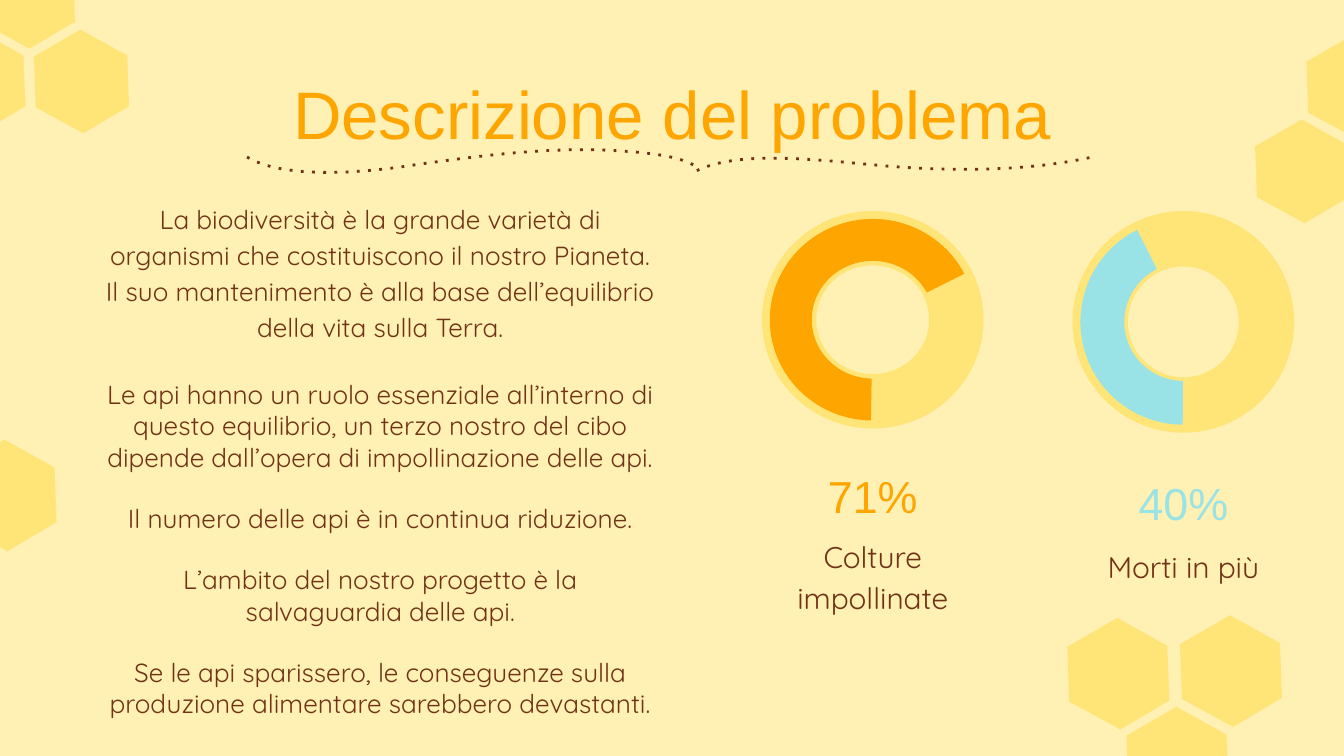
import pptx
import pptx.dml.color
import pptx.enum.dml
import pptx.enum.shapes
import pptx.enum.text
import pptx.oxml.ns
import pptx.oxml.xmlchemy
import pptx.util

Cm = pptx.util.Cm
Pt = pptx.util.Pt
SHAPES = pptx.enum.shapes.MSO_SHAPE

COLORS = {
    "background": "FFF0B3",
    "honey": "FFDB45",
    "orange": "FFA500",
    "brown": "703316",
    "sky": "99E2E6",
}
HONEY_OPACITY = 53

TITLE = "Descrizione del problema"

# text, space before in points, line spacing
BODY = [
    ("La biodiversità è la grande varietà di organismi che costituiscono il "
     "nostro Pianeta. Il suo mantenimento è alla base dell’equilibrio della "
     "vita sulla Terra.", 0, 1.15),
    ("Le api hanno un ruolo essenziale all’interno di questo equilibrio, un "
     "terzo nostro del cibo dipende dall’opera di impollinazione delle api.", 19, 1),
    ("Il numero delle api è in continua riduzione.", 16, 1),
    ("L’ambito del nostro progetto è la salvaguardia delle api.", 16, 1),
    ("Se le api sparissero, le conseguenze sulla produzione alimentare "
     "sarebbero devastanti.", 16, 1),
]

# Lengths in cm, arc angles in degrees
STATISTICS = [
    {"percent": "71%", "label": "Colture impollinate", "color": "orange",
     "left": 14.4, "height": 4.11, "arc": (91.03, 333.35), "thickness": 0.208,
     "percent_top": 8.38, "label_top": 9.83, "label_height": 1.93},
    {"percent": "40%", "label": "Morti in più", "color": "sky",
     "left": 20.27, "height": 4.19, "arc": (90.35, 243.34), "thickness": 0.213,
     "percent_top": 8.51, "label_top": 10.03, "label_height": 1.17},
]
RING_TOP, RING_WIDTH, RING_MARGIN = 3.99, 4.19, 0.15
CAPTION_WIDTH = 3.5

HEXAGON = [(0.49, 0), (0, 0.26), (0.02, 0.75), (0.52, 1), (1, 0.74), (0.98, 0.25)]
SMALL_CELL, LARGE_CELL = (1.8, 1.96), (1.93, 2.11)
HONEYCOMB = [
    (SMALL_CELL, [(23.72, 2.26), (24.69, 0.66), (0.64, 0.56), (-1.32, 0.56),
                  (-0.38, -1.04)]),
    (LARGE_CELL, [(21.29, 13.36), (22.3, 11.63), (-0.86, 8.31), (20.17, 11.68)]),
]

# Start point, then two control points and an end point for each curve
FLIGHT_START = (4.67, 2.97)
FLIGHT_CURVES = [
    ((5.33, 3.38), (6.83, 3.28), (7.82, 3.12)),
    ((9.02, 2.95), (10.26, 2.79), (11.48, 2.84)),
    ((12.07, 2.87), (12.75, 2.92), (13.11, 3.12)),
    ((13.13, 3.15), (13.11, 3.25), (13.16, 3.23)),
    ((13.94, 2.84), (15.42, 3.02), (16.54, 3.12)),
    ((17.91, 3.25), (19.46, 3.25), (20.73, 2.95)),
]
CURVE_STEPS = 16


def rgb(name):
    return pptx.dml.color.RGBColor.from_string(COLORS[name])


def paint(shape, color, opacity=100):
    shape.shadow.inherit = False
    shape.line.fill.background()
    shape.fill.solid()
    shape.fill.fore_color.rgb = rgb(color)
    if opacity < 100:
        tint = shape._element.spPr.find(".//" + pptx.oxml.ns.qn("a:srgbClr"))
        alpha = pptx.oxml.xmlchemy.OxmlElement("a:alpha")
        alpha.set("val", str(opacity * 1000))
        tint.append(alpha)


def outline(slide, points, close):
    (x, y), *rest = [(Cm(px), Cm(py)) for px, py in points]
    builder = slide.shapes.build_freeform(x, y)
    builder.add_line_segments(rest, close=close)
    return builder.convert_to_shape()


def add_honeycomb(slide):
    for (width, height), corners in HONEYCOMB:
        for left, top in corners:
            points = [(left + fx * width, top + fy * height) for fx, fy in HEXAGON]
            paint(outline(slide, points, True), "honey", HONEY_OPACITY)


def bezier(p0, p1, p2, p3, t):
    u = 1 - t
    return tuple(u**3 * a + 3 * u * u * t * b + 3 * u * t * t * c + t**3 * d
                 for a, b, c, d in zip(p0, p1, p2, p3))


def add_flight_trail(slide):
    points = [FLIGHT_START]
    for curve in FLIGHT_CURVES:
        start = points[-1]
        points += [bezier(start, *curve, step / CURVE_STEPS)
                   for step in range(1, CURVE_STEPS + 1)]
    trail = outline(slide, points, False)
    trail.shadow.inherit = False
    trail.fill.background()
    trail.line.color.rgb = rgb("brown")
    trail.line.width = Pt(1.5)
    trail.line.dash_style = pptx.enum.dml.MSO_LINE.ROUND_DOT
    dash = trail._element.spPr.find(".//" + pptx.oxml.ns.qn("a:prstDash"))
    dash.set("val", "dot")


def add_text(slide, box, paragraphs, font, size, color, top_inset=0.25):
    frame = slide.shapes.add_textbox(*map(Cm, box)).text_frame
    frame.word_wrap = True
    frame.vertical_anchor = pptx.enum.text.MSO_ANCHOR.TOP
    frame.margin_left = frame.margin_right = frame.margin_bottom = Cm(0.25)
    frame.margin_top = Cm(top_inset)
    for index, (text, before, spacing) in enumerate(paragraphs):
        paragraph = frame.add_paragraph() if index else frame.paragraphs[0]
        paragraph.alignment = pptx.enum.text.PP_ALIGN.CENTER
        paragraph.line_spacing = spacing
        if before:
            paragraph.space_before = Pt(before)
        run = paragraph.add_run()
        run.text = text
        run.font.name = font
        run.font.size = Pt(size)
        run.font.color.rgb = rgb(color)


def add_statistic(slide, stat):
    left, height = stat["left"], stat["height"]
    ring = slide.shapes.add_shape(
        SHAPES.DONUT, Cm(left), Cm(RING_TOP), Cm(RING_WIDTH), Cm(height))
    ring.adjustments[0] = 0.25
    paint(ring, "honey", HONEY_OPACITY)

    share = slide.shapes.add_shape(
        SHAPES.BLOCK_ARC, Cm(left + RING_MARGIN), Cm(RING_TOP + RING_MARGIN),
        Cm(RING_WIDTH - 2 * RING_MARGIN), Cm(height - 2 * RING_MARGIN))
    for index, angle in enumerate(stat["arc"]):
        share.adjustments[index] = angle * 0.6
    share.adjustments[2] = stat["thickness"]
    paint(share, stat["color"])

    caption_left = left + (RING_WIDTH - CAPTION_WIDTH) / 2
    add_text(slide, (caption_left, stat["percent_top"], CAPTION_WIDTH, 1.17),
             [(stat["percent"], 0, 1.15)], "Arial", 24, stat["color"], 0.33)
    add_text(slide, (caption_left, stat["label_top"], CAPTION_WIDTH, stat["label_height"]),
             [(stat["label"], 0, 1.15)], "Quicksand", 16, "brown")


def main():
    deck = pptx.Presentation()
    deck.slide_width, deck.slide_height = Cm(25.4), Cm(14.29)
    slide = deck.slides.add_slide(deck.slide_layouts[6])
    slide.background.fill.solid()
    slide.background.fill.fore_color.rgb = rgb("background")

    add_honeycomb(slide)
    add_text(slide, (1.68, 3.51, 11.02, 10.26), BODY, "Quicksand", 14, "brown")
    add_text(slide, (1.3, 0.99, 22.81, 1.85), [(TITLE, 0, 1)], "Arial", 36, "orange", 0.37)
    add_flight_trail(slide)
    for stat in STATISTICS:
        add_statistic(slide, stat)

    deck.save("out.pptx")


if __name__ == "__main__":
    main()
